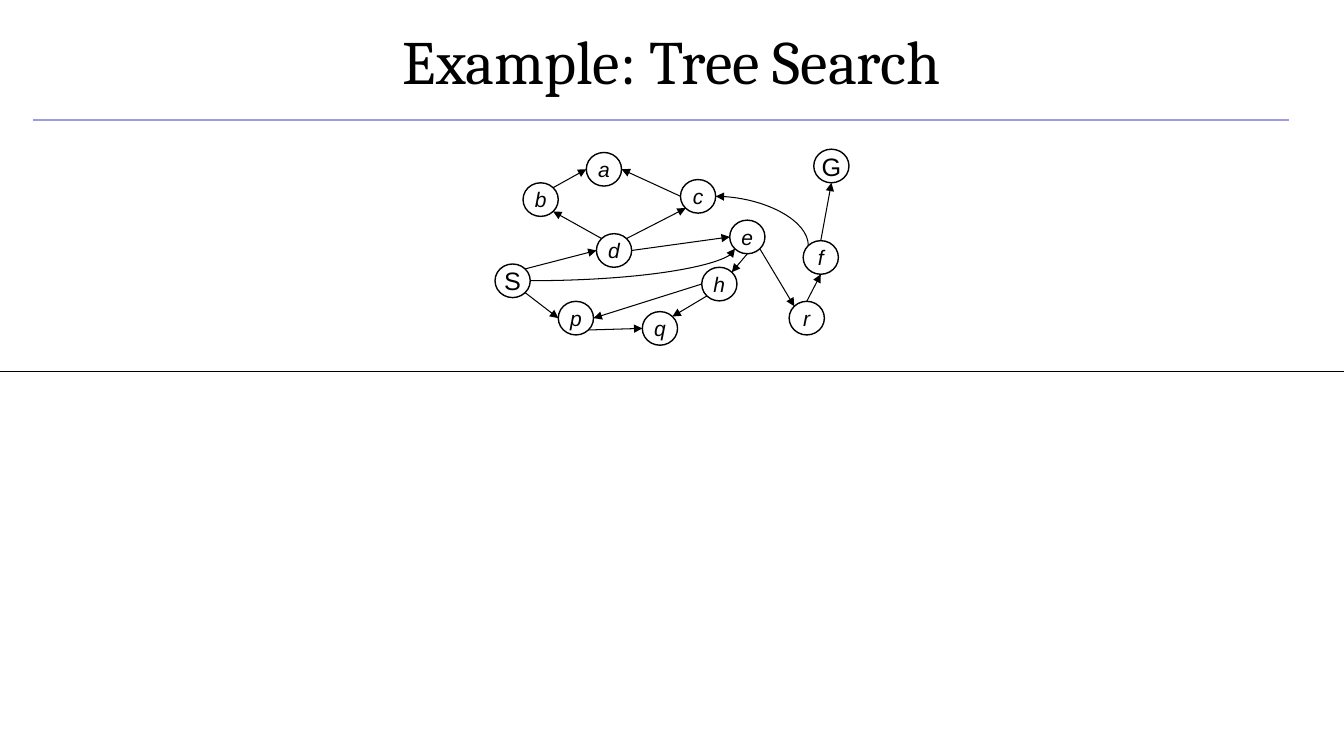
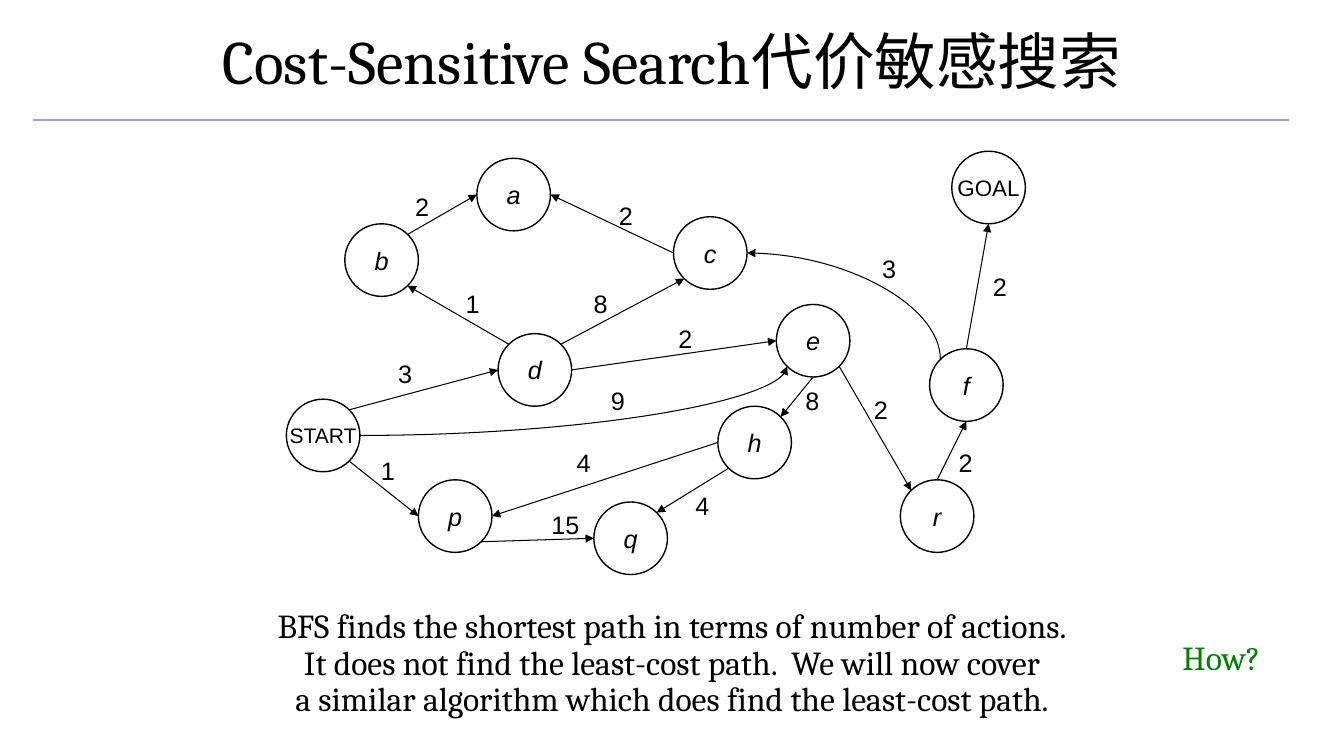
from math import cos, pi, sin

from lxml.etree import SubElement
from pptx import Presentation
from pptx.dml.color import RGBColor
from pptx.enum.shapes import MSO_CONNECTOR, MSO_SHAPE
from pptx.enum.text import MSO_ANCHOR, PP_ALIGN
from pptx.oxml.ns import qn
from pptx.util import Inches, Pt

INK = {"text": "000000", "rule": "9C9CDF", "ask": "008000"}
SERIF, SANS = "Cambria", "Arial"

# Left and top of each node on the full-size graph
NODES = {
    "S": (2.84, 3.96), "G": (9.44, 1.5), "d": (4.94, 3.31), "b": (3.42, 2.22),
    "p": (4.15, 4.76), "q": (5.89, 4.98), "c": (6.68, 2.15), "e": (7.7, 3.02),
    "h": (7.12, 4.03), "a": (4.73, 1.57), "f": (9.22, 3.46), "r": (8.93, 4.76),
}
WIDE, HIGH = 0.73, 0.72

# Node and compass side at each end
EDGES = [
    "S SE p W", "p SE q W", "h SW q NE", "h W p E", "e S h NE", "e SE r NW",
    "r N f S", "f N G S", "S NE d W", "d NW b SE", "b NE a W", "c W a E",
    "d NE c SW", "d E e W",
]
# Curves leave the first node sideways; the arrow sits at the named end
CURVES = [("c E f NW", "headEnd"), ("S E e SW", "tailEnd")]
SIDES = ["E", "SE", "S", "SW", "W", "NW", "N", "NE"]

COSTS = [
    ("2", 4.02, 1.85), ("9", 5.96, 3.77), ("2", 8.57, 3.86), ("8", 5.79, 2.81),
    ("1", 4.52, 2.81), ("8", 7.89, 3.77), ("2", 6.04, 1.94), ("3", 3.85, 3.51),
    ("2", 9.41, 4.39), ("4", 6.8, 4.82), ("4", 5.62, 4.39), ("15", 5.37, 5),
    ("1", 3.68, 4.47), ("3", 8.65, 2.46), ("2", 9.75, 2.64), ("2", 6.63, 3.16),
]

NOTE = [
    "BFS finds the shortest path in terms of number of actions.",
    "It does not find the least-cost path.  We will now cover",
    "a similar algorithm which does find the least-cost path.",
]

# Left, top and scale of each graph; names and sizes of its nodes
VIEWS = [
    {"title": "Example: Tree Search", "at": (4.91, 1.48), "scale": (0.479, 0.463),
     "size": 15, "ends": {"S": ("S", 18), "G": ("G", 18)}},
    {"title": "Cost-Sensitive Search代价敏感搜索", "at": (2.84, 1.5), "scale": (1, 1),
     "size": 18, "ends": {"S": ("START", 15), "G": ("GOAL", 16)}},
]


def write(shape, lines, wrap=True, align=PP_ALIGN.LEFT, space=None, ink="text", **look):
    """Fill a shape with paragraphs in one font style."""
    frame = shape.text_frame
    frame.text = "\n".join(lines)
    frame.word_wrap = wrap
    for para in frame.paragraphs:
        para.alignment = align
        para.line_spacing = space
        for run in para.runs:
            run.font.color.rgb = RGBColor.from_string(INK[ink])
            for key, val in look.items():
                setattr(run.font, key, val)


def draw(shapes, start, end, kind=MSO_CONNECTOR.STRAIGHT, ink="text", width=0.75, tip=None):
    """Draw a plain line or arrow between two points in inches."""
    line = shapes.add_connector(kind, *[Inches(v) for v in (*start, *end)])
    line.line.color.rgb = RGBColor.from_string(INK[ink])
    line.line.width = Pt(width)
    props = line._element.spPr
    if tip:
        SubElement(props.find(qn("a:ln")), qn("a:" + tip)).set("type", "triangle")
    SubElement(props, qn("a:effectLst"))
    return line


prs = Presentation()
prs.slide_width, prs.slide_height = Inches(13.33), Inches(7.5)
layout = prs.slide_layouts[5]
for holder in list(layout.placeholders):
    if holder.placeholder_format.idx:
        holder._element.getparent().remove(holder._element)

slides = []
for view in VIEWS:
    slide = prs.slides.add_slide(layout)
    slides.append(slide)
    title = slide.shapes.title
    title.left, title.top, title.width, title.height = [
        Inches(v) for v in (0, -0.03, 13.33, 1.25)]
    title.text_frame.vertical_anchor = MSO_ANCHOR.MIDDLE
    write(title, [view["title"]], align=PP_ALIGN.CENTER, name=SERIF, size=Pt(44))

    (left, top), (sx, sy) = view["at"], view["scale"]
    wide, high = WIDE * sx, HIGH * sy
    graph = slide.shapes.add_group_shape().shapes
    mids = {}
    for name, (x, y) in NODES.items():
        x, y = left + (x - 2.84) * sx, top + (y - 1.5) * sy
        mids[name] = x + wide / 2, y + high / 2
        node = graph.add_shape(MSO_SHAPE.FLOWCHART_CONNECTOR,
                               *[Inches(v) for v in (x, y, wide, high)])
        node.shadow.inherit = False
        node.fill.background()
        node.line.color.rgb = RGBColor.from_string(INK["text"])
        node.line.width = Pt(1)
        node.text_frame.vertical_anchor = MSO_ANCHOR.MIDDLE
        label, size = view["ends"].get(name, (name, view["size"]))
        write(node, [label], wrap=False, align=PP_ALIGN.CENTER, name=SANS,
              size=Pt(size), italic=name not in view["ends"])

    for edge, tip in [(e, "tailEnd") for e in EDGES] + CURVES:
        parts = edge.split()
        ends = []
        for name, side in zip(parts[::2], parts[1::2]):
            turn = SIDES.index(side) * pi / 4
            x, y = mids[name]
            ends.append((x + cos(turn) * wide / 2, y + sin(turn) * high / 2))
        if edge in EDGES:
            draw(graph, *ends, tip=tip)
        else:
            curve = draw(graph, *ends, kind=MSO_CONNECTOR.CURVE, tip=tip)
            curve._element.spPr.find(qn("a:prstGeom")).set("prst", "curvedConnector2")

tree, cost = slides

# The title rule belongs to the layout, so both slides show it
rule = draw(tree.shapes, (0.33, 1.19), (12.78, 1.19), ink="rule", width=1)
layout.shapes._spTree.append(rule._element)
draw(tree.shapes, (0, 3.69), (13.33, 3.69))

for text, x, y in COSTS:
    wide = 0.34 if len(text) == 1 else 0.51
    box = cost.shapes.add_textbox(*[Inches(v) for v in (x, y, wide, 0.4)])
    write(box, [text], name=SANS, size=Pt(18))

note = cost.shapes.add_textbox(Inches(0), Inches(6), Inches(13.33), Inches(1.34))
write(note, NOTE, align=PP_ALIGN.CENTER, space=0.9, name=SERIF, size=Pt(24))
ask = cost.shapes.add_textbox(Inches(11.63), Inches(6.27), Inches(1.67), Inches(0.5))
write(ask, ["How?"], ink="ask", name=SERIF, size=Pt(24))

prs.save("out.pptx")
